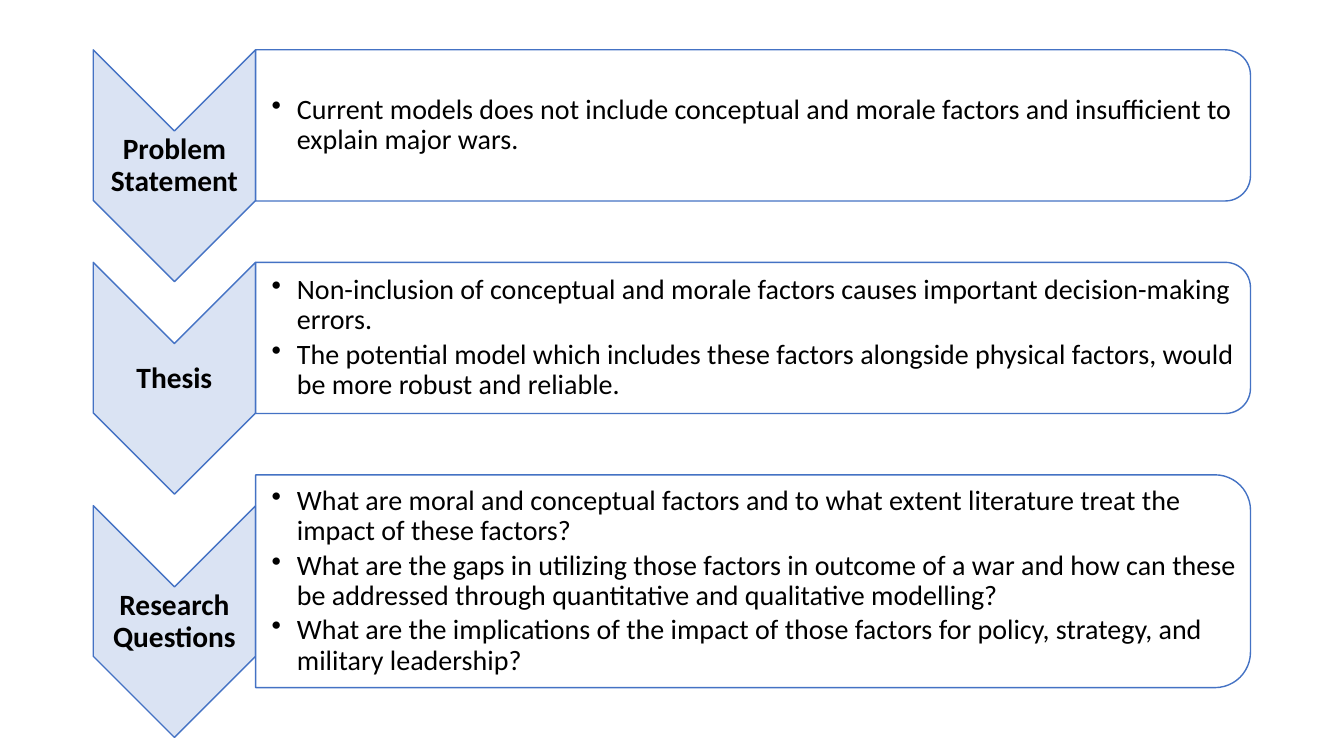
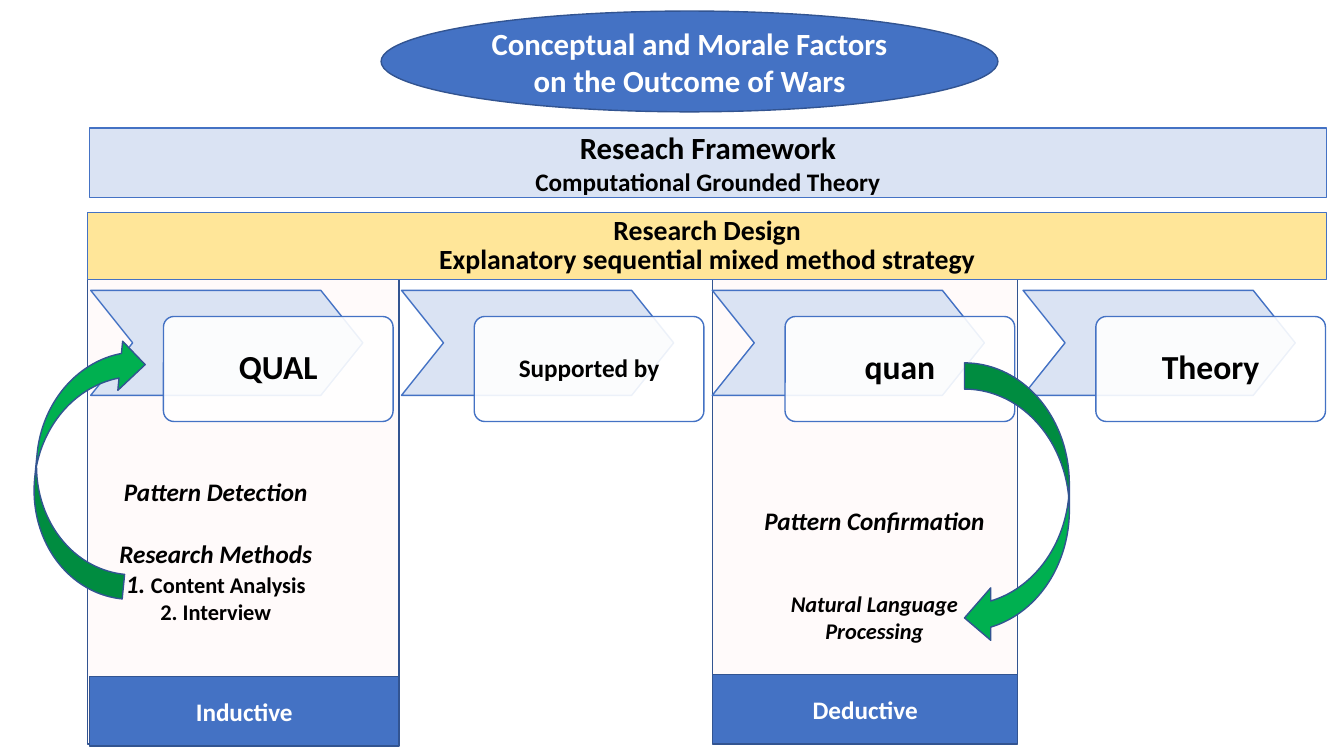
from dataclasses import dataclass

from lxml import etree
from pptx import Presentation
from pptx.dml.color import RGBColor
from pptx.enum import shapes, text
from pptx.oxml import ns
from pptx.util import Pt

SHAPE = shapes.MSO_SHAPE


@dataclass(frozen=True)
class Theme:
    font: str = "Calibri"
    black: str = "000000"
    white: str = "FFFFFF"
    blue: str = "4472C4"
    dark_blue: str = "325491"
    pale_blue: str = "DAE3F3"
    yellow: str = "FFE699"
    green: str = "00B050"
    red: str = "FF0000"
    step: float = 24
    heading: float = 22
    label: float = 21
    bullet: float = 20
    design: float = 19.8
    body: float = 18
    small: float = 16
    tight: float = 0.9


THEME = Theme()

# Content: slide 1
SECTIONS = [
    ("Problem Statement", [
        "Current models does not include conceptual and morale factors and insufficient to explain major wars.",
    ]),
    ("Thesis", [
        "Non-inclusion of conceptual and morale factors causes important decision-making errors.",
        "The potential model which includes these factors alongside physical factors, would be more robust and reliable.",
    ]),
    ("Research Questions", [
        "What are moral and conceptual factors and to what extent literature treat the impact of these factors?",
        "What are the gaps in utilizing those factors in outcome of a war and how can these be addressed through "
        "quantitative and qualitative modelling?",
        "What are the implications of the impact of those factors for policy, strategy, and military leadership?",
    ]),
]

# Content: slide 2
TOPIC = "Conceptual and Morale Factors on the Outcome of Wars"
FRAMEWORK = [("Reseach Framework", THEME.heading), ("Computational Grounded Theory", THEME.body)]
DESIGN = "Research Design\vExplanatory sequential mixed method strategy"
STEPS = [("QUAL", THEME.step), ("Supported by", THEME.body), ("quan", THEME.step), ("Theory", THEME.step)]
# Panel box, bar box, bar label
PHASES = [
    ((509, 154, 218, 377.3), (509, 481.7, 218, 49.7), "Deductive"),
    ((62.6, 152, 222.5, 379.4), (64, 483.1, 221, 49.7), "Inductive"),
]
# Box, then paragraphs as (text, size, italic, space before)
NOTES = [
    ((75.6, 337, 157, 113.8), [
        ("Pattern Detection", THEME.body, True, 0),
        ("Research Methods", THEME.body, True, 22),
        ("1. ", THEME.body, True, 0),
        ("2. Interview", THEME.small, False, 0),
    ]),
    ((536.4, 357.1, 176.4, 106.6), [
        ("Pattern Confirmation", THEME.body, True, 0),
        ("Natural Language Processing", THEME.small, True, 39),
    ]),
]
FIRST_METHOD = "Content Analysis"
# Box, rotation
LOOP_ARROWS = [((25.9, 239, 70.6, 185.8), 185.6), ((689, 259.2, 74.9, 200.9), 0)]


# Shared helpers
def add_box(slide, kind, box, fill, line, alpha=None, rotation=0, line_width=1):
    """Add a shape whose box is given as it appears; quarter turns swap its sides."""
    left, top, width, height = box
    if rotation == 90:
        left, top = left + (width - height) / 2, top + (height - width) / 2
        width, height = height, width
    shape = slide.shapes.add_shape(kind, *map(Pt, (left, top, width, height)))
    shape.rotation = rotation
    shape.shadow.inherit = False
    shape.fill.solid()
    shape.fill.fore_color.rgb = RGBColor.from_string(fill)
    if alpha is not None:
        color = shape._element.spPr.find(".//" + ns.qn("a:srgbClr"))
        etree.SubElement(color, ns.qn("a:alpha")).set("val", str(alpha * 1000))
    shape.line.color.rgb = RGBColor.from_string(line)
    shape.line.width = Pt(line_width)
    return shape


def add_text_box(slide, box):
    return slide.shapes.add_textbox(*map(Pt, box))


def prepare_frame(shape, margins=(7.2, 3.6, 7.2, 3.6), anchor=text.MSO_ANCHOR.MIDDLE):
    frame = shape.text_frame
    frame.word_wrap = True
    frame.vertical_anchor = anchor
    frame.margin_left, frame.margin_top, frame.margin_right, frame.margin_bottom = map(Pt, margins)
    return frame


def style_run(run, size, color=THEME.black, bold=True, italic=False):
    font = run.font
    font.name, font.size, font.bold, font.italic = THEME.font, Pt(size), bold, italic
    font.color.rgb = RGBColor.from_string(color)


def write_centred(frame, lines, color=THEME.black, spacing=None):
    """Write lines of (text, size) or (text, size, italic, space before)."""
    frame.text = "\n".join(line[0] for line in lines)
    for paragraph, (_, size, *rest) in zip(frame.paragraphs, lines):
        italic, before = rest or (False, 0)
        paragraph.alignment = text.PP_ALIGN.CENTER
        if spacing:
            paragraph.line_spacing = spacing
        if before:
            paragraph.space_before = Pt(before)
        for run in paragraph.runs:
            style_run(run, size, color, italic=italic)


def write_bullets(frame, items):
    frame.text = "\n".join(items)
    for index, paragraph in enumerate(frame.paragraphs):
        properties = paragraph._p.get_or_add_pPr()
        properties.set("marL", str(Pt(18)))
        properties.set("indent", str(-Pt(18)))
        etree.SubElement(properties, ns.qn("a:buChar")).set("char", "•")
        paragraph.line_spacing = THEME.tight
        if index:
            paragraph.space_before = Pt(3)
        for run in paragraph.runs:
            style_run(run, THEME.bullet, bold=False)


# Slide 1: chevron list
def build_outline(slide):
    left, first_top, pitch = 66.6, 35.6, 151.8
    chevron_width, chevron_height = 116, 165.6
    card_left, card_width, card_height, tall_card = 182.6, 710.6, 108, 152
    for row, (label, items) in enumerate(SECTIONS):
        top = first_top + row * pitch
        height = tall_card if len(items) > 2 else card_height
        chevron_top = top + (height - card_height) / 2
        add_box(slide, SHAPE.CHEVRON, (left, chevron_top, chevron_width, chevron_height),
                THEME.pale_blue, THEME.blue, rotation=90)
        label_box = add_text_box(slide, (left, chevron_top + chevron_width / 2, chevron_width, 50))
        write_centred(prepare_frame(label_box, (1, 1, 1, 1)), [(label, THEME.label)], spacing=THEME.tight)
        add_box(slide, SHAPE.ROUND_2_SAME_RECTANGLE, (card_left, top, card_width, height),
                THEME.white, THEME.blue, alpha=90, rotation=90)
        inset = height * 0.05
        card_text = add_text_box(slide, (card_left, top + inset, card_width - inset, height - 2 * inset))
        write_bullets(prepare_frame(card_text, (11.5, 1, 1, 1)), items)


# Slide 2: research design
def build_design(slide):
    for panel, _, _ in PHASES:
        add_box(slide, SHAPE.RECTANGLE, panel, THEME.red, THEME.dark_blue, alpha=2)

    # Process steps
    step_left, step_top, pitch, step_height = 64.8, 207.4, 222, 75
    for index, (label, size) in enumerate(STEPS):
        left = step_left + index * pitch
        chevron = add_box(slide, SHAPE.CHEVRON, (left, step_top, 194.4, step_height),
                          THEME.pale_blue, THEME.blue)
        chevron.adjustments[0] = 0.4
        card = add_box(slide, SHAPE.ROUNDED_RECTANGLE, (left + 52, step_top + 18.7, 164, step_height),
                       THEME.white, THEME.blue, alpha=90)
        card.adjustments[0] = 0.1
        write_centred(prepare_frame(card, (10, 10, 10, 10)), [(label, size)], spacing=THEME.tight)

    framework = add_box(slide, SHAPE.RECTANGLE, (64, 91.4, 883.4, 49.7), THEME.pale_blue, THEME.blue)
    write_centred(prepare_frame(framework, (1, 1, 1, 1)), FRAMEWORK)

    # Method notes
    for box, lines in NOTES:
        frame = prepare_frame(add_text_box(slide, box), anchor=text.MSO_ANCHOR.TOP)
        write_centred(frame, lines)
        for paragraph in frame.paragraphs:
            if paragraph.text == "1. ":
                run = paragraph.add_run()
                run.text = FIRST_METHOD
                style_run(run, THEME.small)

    # Topic and phase bars
    solid_shapes = [(SHAPE.OVAL, (272.2, 7.9, 440.6, 72), TOPIC, THEME.heading)]
    solid_shapes += [(SHAPE.RECTANGLE, bar, label, THEME.body) for _, bar, label in reversed(PHASES)]
    for kind, box, label, size in solid_shapes:
        shape = add_box(slide, kind, box, THEME.blue, THEME.dark_blue)
        write_centred(prepare_frame(shape), [(label, size)], THEME.white)

    # Loop arrows
    for box, rotation in LOOP_ARROWS:
        arrow = add_box(slide, SHAPE.CURVED_RIGHT_ARROW, box, THEME.green, THEME.dark_blue, rotation=rotation)
        arrow._element.spPr.find(ns.qn("a:xfrm")).set("flipH", "1")

    design = add_box(slide, SHAPE.RECTANGLE, (62.6, 152, 884.9, 47.5), THEME.yellow, THEME.blue, line_width=0.75)
    write_centred(prepare_frame(design), [(DESIGN, THEME.design)], spacing=THEME.tight)


def main():
    presentation = Presentation()
    presentation.slide_width, presentation.slide_height = Pt(960), Pt(540)
    for build in (build_outline, build_design):
        build(presentation.slides.add_slide(presentation.slide_layouts[6]))
    presentation.save("out.pptx")


if __name__ == "__main__":
    main()
